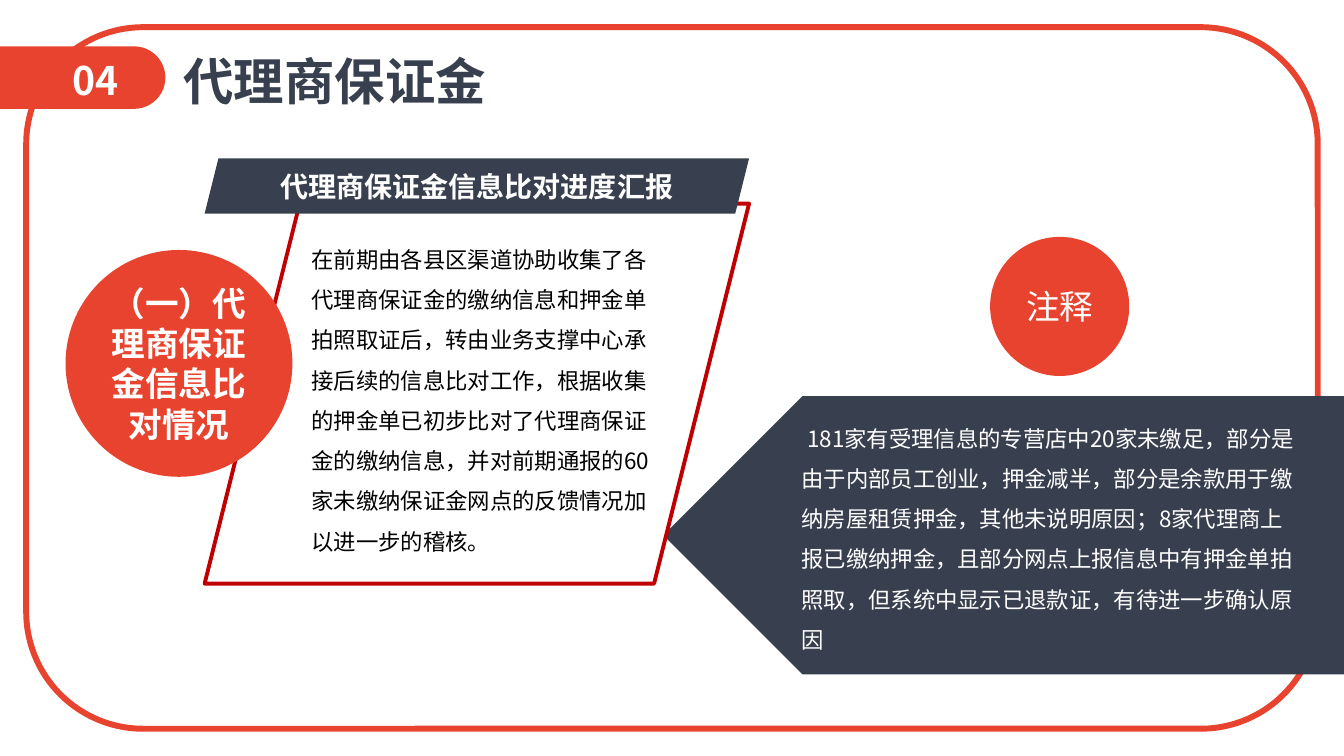
from lxml.etree import SubElement
from pptx import Presentation
from pptx.dml.color import RGBColor
from pptx.enum.shapes import MSO_SHAPE
from pptx.enum.text import MSO_ANCHOR, MSO_AUTO_SIZE, PP_ALIGN
from pptx.oxml.ns import qn
from pptx.util import Inches, Pt

COLORS = {
    "red": "E8432E",
    "navy": "383F4E",
    "crimson": "C00000",
    "white": "FFFFFF",
    "black": "000000",
}
FONT = "Noto Sans CJK SC"


def color(name):
    return RGBColor.from_string(COLORS[name])


def add_block(slide, kind, box, fill=None, line=None, line_width=0):
    block = slide.shapes.add_shape(kind, *map(Inches, box))
    block.shadow.inherit = False
    if fill:
        block.fill.solid()
        block.fill.fore_color.rgb = color(fill)
    else:
        block.fill.background()
    if line:
        block.line.color.rgb = color(line)
        block.line.width = Pt(line_width)
    else:
        block.line.fill.background()
    return block


def add_label(slide, box):
    return slide.shapes.add_textbox(*map(Inches, box))


def write(holder, text, size, ink, bold=False, align=PP_ALIGN.LEFT,
          anchor=MSO_ANCHOR.MIDDLE, wrap=True):
    frame = holder.text_frame
    frame.auto_size = MSO_AUTO_SIZE.NONE
    frame.word_wrap = wrap
    frame.vertical_anchor = anchor
    paragraph = frame.paragraphs[0]
    paragraph.alignment = align
    run = paragraph.add_run()
    run.text = text
    run.font.size = Pt(size)
    run.font.bold = bold
    run.font.name = FONT
    run.font.color.rgb = color(ink)
    SubElement(run.font._element, qn("a:ea")).set("typeface", FONT)
    return paragraph


def set_prose(paragraph, first_line=0):
    paragraph.line_spacing = 1.5
    properties = paragraph._p.get_or_add_pPr()
    properties.set("marL", str(Inches(0.12)))
    properties.set("indent", str(Inches(first_line)))


def add_header(slide, left, top, width, height):
    tag = add_block(
        slide, MSO_SHAPE.ROUND_2_SAME_RECTANGLE,
        (left + (width - height) / 2, top - (width - height) / 2, height, width),
        "red")
    tag.adjustments[0] = 0.5
    tag.rotation = 90
    number = add_label(slide, (left + 0.62, top + 0.05, 1.02, 0.57))
    write(number, "04", 28, "white", bold=True, anchor=MSO_ANCHOR.TOP)

    title = slide.shapes.title
    title.left, title.top = Inches(left + 1.72), Inches(top - 0.01)
    title.width, title.height = Inches(3.6), Inches(0.71)
    paragraph = write(title, "代理商保证金", 36, "navy", bold=True,
                      anchor=MSO_ANCHOR.TOP)
    paragraph.line_spacing = 1.0
    paragraph.space_before = Pt(0)


def add_note(slide, left, top, width, height):
    arrow = add_block(slide, MSO_SHAPE.PENTAGON, (left, top, width, height), "navy")
    arrow.rotation = 180
    note = add_label(slide, (left + 1.15, top - 0.03, 5.21, height))
    set_prose(write(
        note,
        "181家有受理信息的专营店中20家未缴足，部分是由于内部员工创业，押金减半，"
        "部分是余款用于缴纳房屋租赁押金，其他未说明原因；8家代理商上报已缴纳押金，"
        "且部分网点上报信息中有押金单拍照取，但系统中显示已退款证，有待进一步确认原因",
        16, "white"), first_line=0.06)


def add_note_badge(slide, left, top, diameter):
    add_block(slide, MSO_SHAPE.OVAL, (left, top, diameter, diameter), "red")
    caption = add_label(slide, (left + 0.25, top + 0.44, diameter - 0.5, 0.5))
    write(caption, "注释", 24, "white", align=PP_ALIGN.CENTER,
          anchor=MSO_ANCHOR.TOP, wrap=False)


def add_progress(slide, left, top, width, height):
    report = add_block(slide, MSO_SHAPE.PARALLELOGRAM,
                       (left, top + 0.45, width, height - 0.45),
                       "white", "crimson", 2.75)
    report.text_frame.margin_right = Inches(0.05)
    set_prose(write(
        report,
        "在前期由各县区渠道协助收集了各代理商保证金的缴纳信息和押金单拍照取证后，"
        "转由业务支撑中心承接后续的信息比对工作，根据收集的押金单已初步比对了"
        "代理商保证金的缴纳信息，并对前期通报的60家未缴纳保证金网点的反馈情况"
        "加以进一步的稽核。",
        16, "black"))
    heading = add_block(slide, MSO_SHAPE.PARALLELOGRAM,
                        (left, top, width, 0.55), "navy")
    frame = heading.text_frame
    frame.margin_left = frame.margin_right = Inches(0.07)
    frame.margin_top = frame.margin_bottom = Inches(0.04)
    write(heading, "代理商保证金信息比对进度汇报", 20, "white", bold=True,
          align=PP_ALIGN.CENTER)


def add_topic(slide, left, top, diameter):
    topic = add_block(slide, MSO_SHAPE.OVAL, (left, top, diameter, diameter), "red")
    write(topic, "（一）代理商保证金信息比对情况", 24, "white", bold=True,
          align=PP_ALIGN.CENTER)


def main():
    deck = Presentation()
    deck.slide_width, deck.slide_height = Inches(13.33), Inches(7.5)
    slide = deck.slides.add_slide(deck.slide_layouts[5])
    add_block(slide, MSO_SHAPE.ROUNDED_RECTANGLE, (0.26, 0.27, 12.81, 6.96),
              line="red", line_width=4.25)
    add_header(slide, 0, 0.46, 1.64, 0.62)
    add_note(slide, 6.58, 3.93, 6.75, 2.76)
    add_progress(slide, 2.03, 1.57, 5.4, 4.22)
    add_note_badge(slide, 9.82, 2.35, 1.38)
    add_topic(slide, 0.65, 2.48, 2.25)
    deck.save("out.pptx")


if __name__ == "__main__":
    main()
